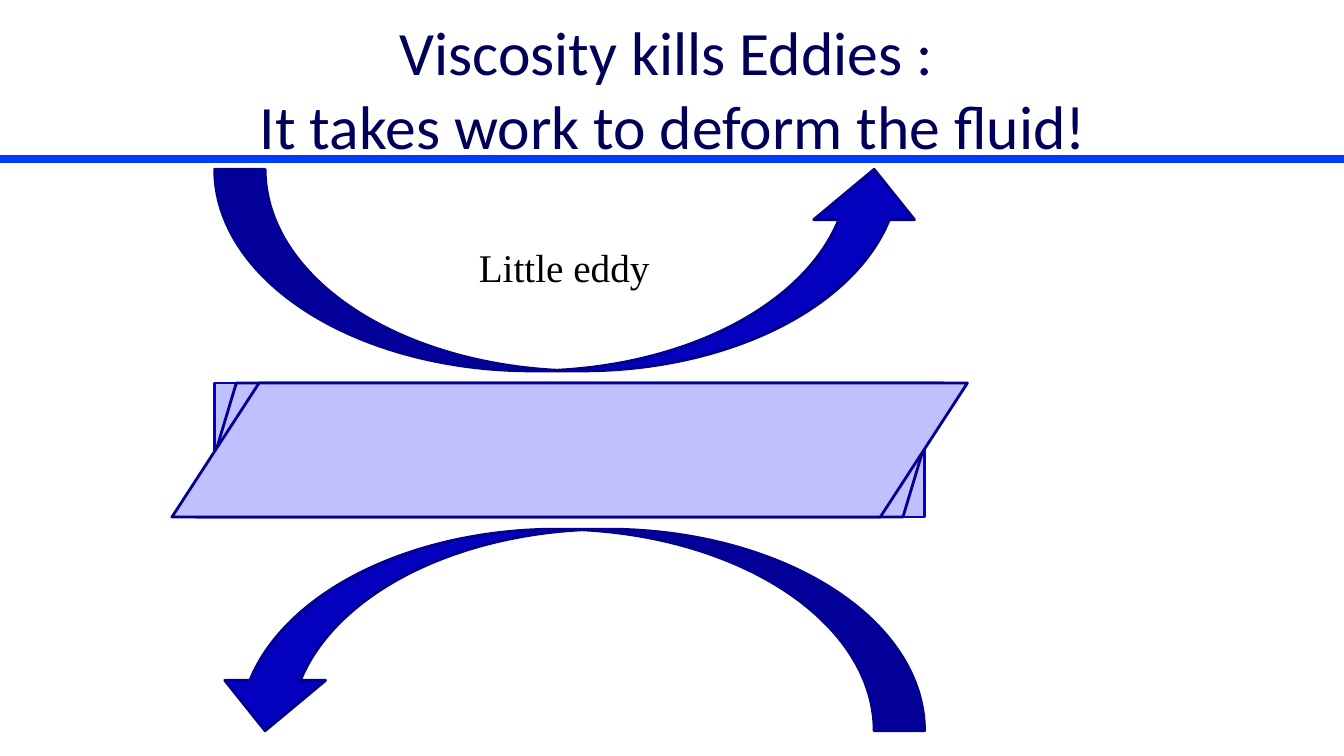
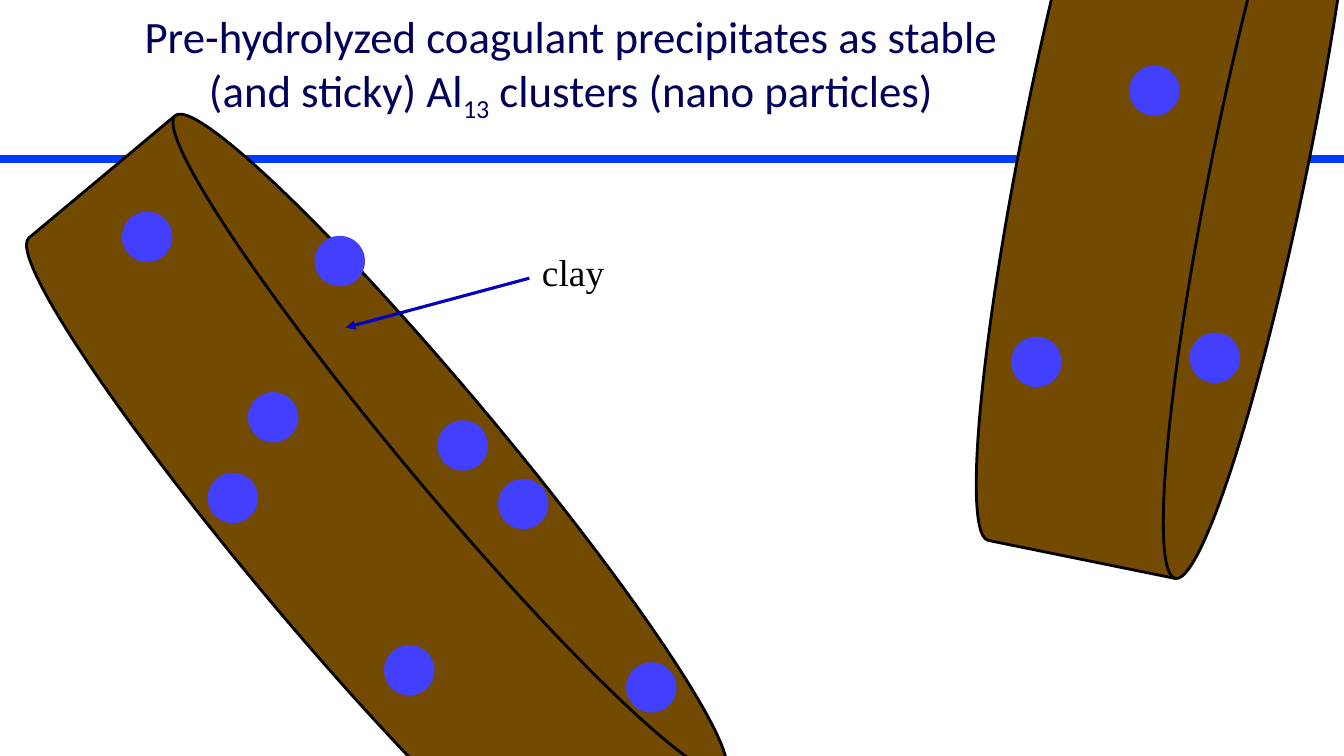
from dataclasses import dataclass

from lxml import etree
from pptx import Presentation
from pptx.dml.color import RGBColor
from pptx.enum import shapes, text
from pptx.oxml.ns import qn
from pptx.util import Inches, Pt

KIND = shapes.MSO_SHAPE
LINE = shapes.MSO_CONNECTOR.STRAIGHT


@dataclass(frozen=True)
class Theme:
    wide: float = 13.33
    high: float = 7.5
    rule: str = "003CFE"
    title: str = "00005A"
    ink: str = "000000"
    blue: str = "0300BE"
    navy: str = "02008D"
    pale: str = "C0BFFF"
    clay: str = "724A02"
    dot: str = "423FFF"
    head: str = "Calibri"
    body: str = "Times New Roman"
    edge: float = 2
    ball: float = 0.5


T = Theme()

EDDY = {
    "title": ["Viscosity kills Eddies : ", "\v", "It takes work to deform the fluid!"],
    "box": (0.5, 0.25, 12.36, 1.25),
    "size": 44,
    "label": ("Little eddy", (4.64, 2.36, 1.91, 0.57), 28),
}
LEFT, WIDTH = 2.13, 7.04
ARROWS = [(KIND.CURVED_UP_ARROW, 1.68, False), (KIND.CURVED_DOWN_ARROW, 5.25, True)]
TOP, DEPTH = 3.8, 1.33
SKEWS = [(7.41, 0.3), (7.89, 0.65)]  # width, slant

CLAY = {
    "title": ["Pre-hydrolyzed coagulant precipitates as stable (and sticky) Al",
              ("13", -25), " clusters (nano particles)"],
    "box": (1.11, 0.03, 9.11, 1.25),
    "size": 32,
    "label": ("clay", (5.27, 2.42, 0.83, 0.55), 26.7),
}
DISK = (8.49, 2.84)
# left, top and turn of each disk, then left and top of its clusters
PLATES = [
    ((7.33, -0.03, 101.5), [(11.2, 0.65), (11.8, 3.3), (10.03, 3.34)]),
    ((-0.51, 3.59, 50.1), [(4.94, 4.75), (3.12, 2.34), (2.06, 4.69), (1.21, 2.1),
                           (6.21, 6.57), (4.34, 4.17), (3.81, 6.4), (2.46, 3.89)]),
]
POINTER = (5.25, 2.76, 3.43, 3.25)


def color(code):
    return RGBColor.from_string(code)


def style(para, size, font, code):
    para.font.size = Pt(size)
    para.font.name = font
    para.font.color.rgb = color(code)


def draw(home, kind, box, fill, line=None):
    shape = home.add_shape(kind, *map(Inches, box))
    shape.shadow.inherit = False
    shape.fill.solid()
    shape.fill.fore_color.rgb = color(fill)
    if line:
        shape.line.color.rgb = color(line)
        shape.line.width = Pt(T.edge)
    else:
        shape.line.fill.background()
    return shape


def link(home, ends, code, width, arrow=False):
    line = home.add_connector(LINE, *map(Inches, ends))
    line.line.color.rgb = color(code)
    line.line.width = Pt(width)
    if arrow:
        etree.SubElement(line.line._get_or_add_ln(), qn("a:tailEnd"), type="triangle")
    etree.SubElement(line._element.spPr, qn("a:effectLst"))
    return line


def write(home, words, box, size):
    frame = home.add_textbox(*map(Inches, box)).text_frame
    frame.word_wrap = False
    frame.auto_size = text.MSO_AUTO_SIZE.SHAPE_TO_FIT_TEXT
    para = frame.paragraphs[0]
    para.text = words
    para.alignment = text.PP_ALIGN.CENTER
    style(para, size, T.body, T.ink)


def begin(deck, data):
    """Add a slide with its title."""
    slide = deck.slides.add_slide(deck.slide_layouts[5])
    title = slide.shapes.title
    title.left, title.top, title.width, title.height = map(Inches, data["box"])
    frame = title.text_frame
    frame.auto_size = text.MSO_AUTO_SIZE.NONE
    frame.vertical_anchor = text.MSO_ANCHOR.MIDDLE
    para = frame.paragraphs[0]
    para.alignment = text.PP_ALIGN.CENTER
    style(para, data["size"], T.head, T.title)
    for part in data["title"]:
        if part == "\v":
            para.add_line_break()
            continue
        words, shift = part if isinstance(part, tuple) else (part, 0)
        run = para.add_run()
        run.text = words
        if shift:
            run.font._element.set("baseline", str(shift * 1000))
    return slide


def band(deck, slide):
    """Place the rule under the titles on the master."""
    y = 1.58
    rule = link(slide.shapes, (0, y, T.wide, y), T.rule, 6)
    deck.slide_master.shapes._spTree.append(rule._element)


def eddies(slide):
    home = slide.shapes
    for kind, top, flip in ARROWS:
        arrow = draw(home, kind, (LEFT, top, WIDTH, 2), T.blue, T.navy)
        if flip:
            arrow._element.spPr.xfrm.set("flipH", "1")
    draw(home, KIND.RECTANGLE, (LEFT, TOP, WIDTH, DEPTH), T.pale, T.blue)
    mid = LEFT + WIDTH / 2
    for width, slant in SKEWS:
        box = (mid - width / 2, TOP, width, DEPTH)
        draw(home, KIND.PARALLELOGRAM, box, T.pale, T.navy).adjustments[0] = slant
    write(home, *EDDY["label"])


def plates(slide):
    for (left, top, turn), dots in PLATES:
        group = slide.shapes.add_group_shape().shapes
        disk = draw(group, KIND.FLOWCHART_MAGNETIC_DISK, (left, top, *DISK), T.clay, T.ink)
        disk.rotation = turn
        for x, y in dots:
            draw(group, KIND.OVAL, (x, y, T.ball, T.ball), T.dot)
    group = slide.shapes.add_group_shape().shapes
    write(group, *CLAY["label"])
    link(group, POINTER, T.blue, 2.25, arrow=True)


def main():
    deck = Presentation()
    deck.slide_width, deck.slide_height = Inches(T.wide), Inches(T.high)
    first = begin(deck, EDDY)
    band(deck, first)
    eddies(first)
    plates(begin(deck, CLAY))
    deck.save("out.pptx")


if __name__ == "__main__":
    main()
